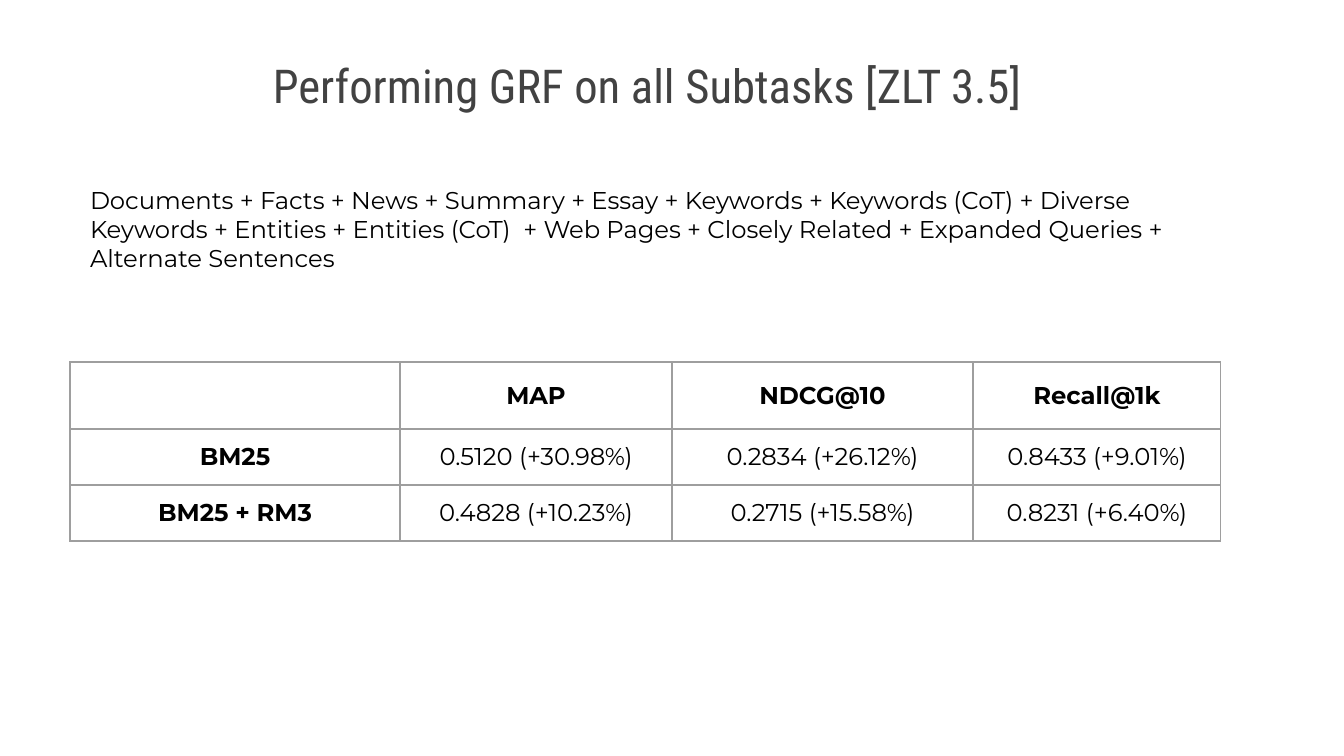
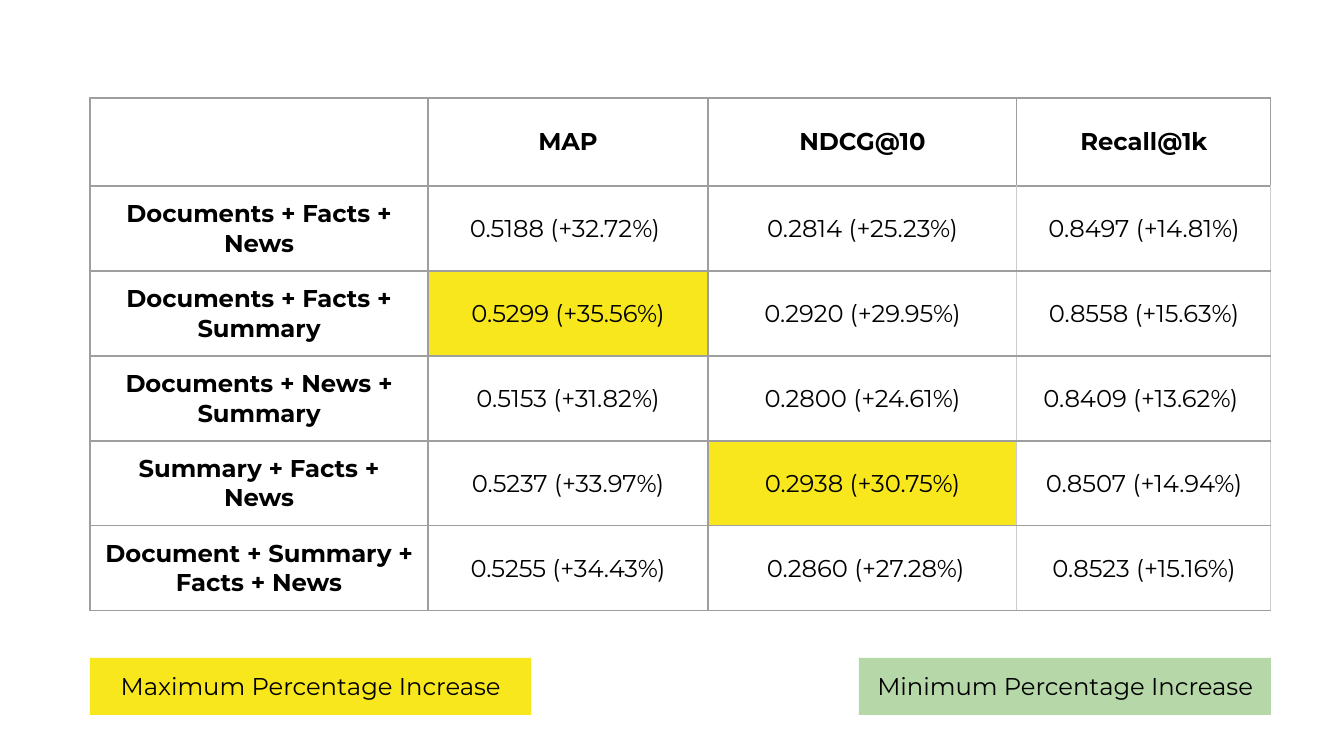
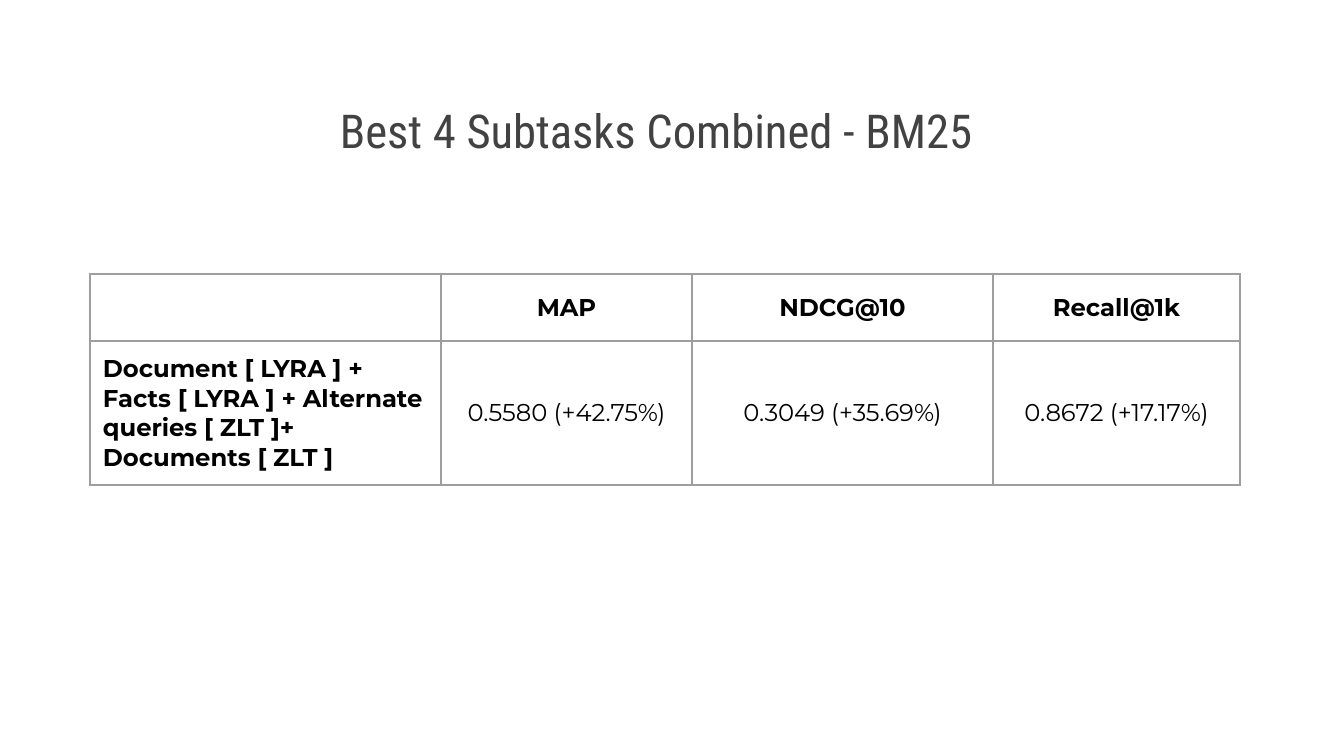
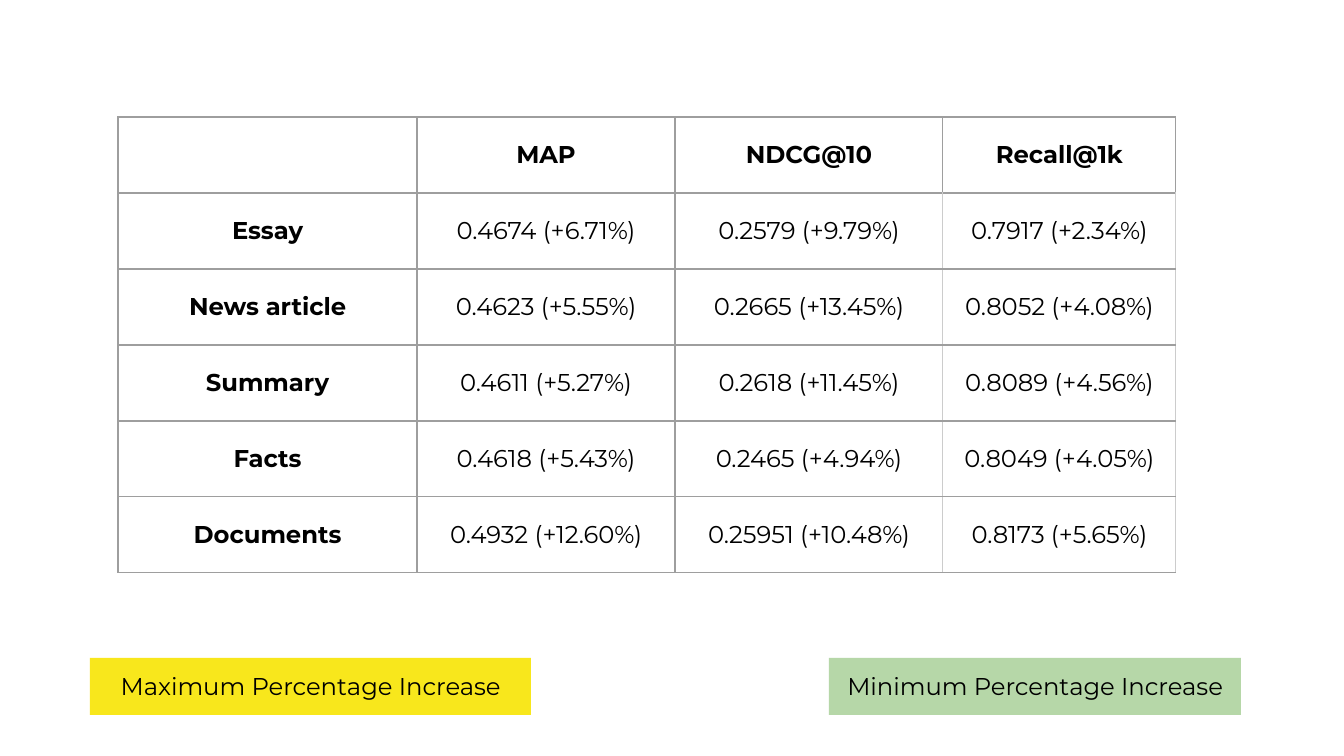
from dataclasses import dataclass

from lxml import etree
from pptx import Presentation
from pptx import util as u
from pptx.dml.color import RGBColor
from pptx.enum import shapes, text
from pptx.oxml.ns import qn


@dataclass(frozen=True)
class Theme:
    body_font: str = "Montserrat"
    title_font: str = "Roboto Condensed"
    body_size: int = 13
    title_size: int = 25
    ink: str = "000000"
    title_ink: str = "424242"
    paper: str = "FFFFFF"
    grid: str = "9E9E9E"
    faint_grid: str = "CCCCCC"
    maximum: str = "F8E71C"
    minimum: str = "B6D7A8"
    grid_width: float = 0.75


T = Theme()
PX = 914400 / 134.4
INSET = 13
TITLE_SIZE = (1132, 83)
LEGEND_TOP, LEGEND_HEIGHT = 658, 57
MAX_LEFT, MAX_WIDTH, MIN_WIDTH = 90, 441, 412
METRICS = ("", "MAP", "NDCG@10", "Recall@1k")

SLIDES = [
    dict(
        title=("Performing GRF on all Subtasks [ZLT 3.5]", 81, 44),
        subtasks=(
            "Documents + Facts + News + Summary + Essay + Keywords + Keywords (CoT) + Diverse "
            "Keywords + Entities + Entities (CoT)  + Web Pages + Closely Related + "
            "Expanded Queries + Alternate Sentences",
            77, 172, 1160, 115),
        table=dict(
            at=(70, 362), cols=(330, 272, 301, 248), header=67, row=56,
            rows=[
                ("BM25", "0.5120 (+30.98%)", "0.2834 (+26.12%)", "0.8433 (+9.01%)"),
                ("BM25 + RM3", "0.4828 (+10.23%)", "0.2715 (+15.58%)", "0.8231 (+6.40%)"),
            ]),
    ),
    dict(
        table=dict(
            at=(90, 98), cols=(338, 280, 309, 254), header=88, row=85, faint=True,
            best={(2, 1), (4, 2)},
            rows=[
                ("Documents + Facts + News", "0.5188 (+32.72%) ", "0.2814 (+25.23%)", "0.8497 (+14.81%)"),
                ("Documents + Facts + Summary", "0.5299 (+35.56%)", "0.2920 (+29.95%)", "0.8558 (+15.63%)"),
                ("Documents + News + Summary", "0.5153 (+31.82%)", "0.2800 (+24.61%)", "0.8409 (+13.62%) "),
                ("Summary + Facts + News", "0.5237 (+33.97%)", "0.2938 (+30.75%)", "0.8507 (+14.94%)"),
                ("Document + Summary + Facts + News", "0.5255 (+34.43%)", " 0.2860 (+27.28%)", "0.8523 (+15.16%)"),
            ]),
        legend_right=1271,
    ),
    dict(
        title=("Best 4 Subtasks Combined - BM25", 90, 89),
        table=dict(
            at=(90, 274), cols=(351, 251, 301, 247), header=67, row=144, left_labels=True,
            rows=[
                ("Document [ LYRA ] + Facts [ LYRA ] + Alternate queries [ ZLT ]+ Documents [ ZLT ]",
                 "0.5580 (+42.75%)", "0.3049 (+35.69%)", "0.8672 (+17.17%)"),
            ]),
    ),
    dict(
        table=dict(
            at=(118, 117), cols=(299, 258, 268, 233), header=76, row=76, faint=True,
            rows=[
                ("Essay", "0.4674 (+6.71%)", "0.2579 (+9.79%)", "0.7917 (+2.34%)"),
                ("News article", "0.4623 (+5.55%)", "0.2665 (+13.45%)", "0.8052 (+4.08%)"),
                ("Summary", "0.4611 (+5.27%)", "0.2618 (+11.45%)", "0.8089 (+4.56%)"),
                ("Facts", "0.4618 (+5.43%)", "0.2465 (+4.94%)", "0.8049 (+4.05%)"),
                ("Documents", "0.4932 (+12.60%)", "0.25951 (+10.48%)", "0.8173 (+5.65%)"),
            ]),
        legend_right=1241,
    ),
]


def px(n):
    return u.Emu(round(n * PX))


def fill(obj, color):
    obj.fill.solid()
    obj.fill.fore_color.rgb = RGBColor.from_string(color)


def write(obj, words, font=T.body_font, size=T.body_size, color=T.ink, bold=False, center=True):
    p = obj.text_frame.paragraphs[0]
    p.alignment = text.PP_ALIGN.CENTER if center else text.PP_ALIGN.LEFT
    r = p.add_run()
    r.text = words
    r.font.name, r.font.size, r.font.bold = font, u.Pt(size), bold
    r.font.color.rgb = RGBColor.from_string(color)


def set_insets(obj):
    obj.margin_left = obj.margin_top = obj.margin_right = obj.margin_bottom = px(INSET)


def set_frame(sp):
    tf = sp.text_frame
    set_insets(tf)
    tf.word_wrap = True
    tf.auto_size = text.MSO_AUTO_SIZE.SHAPE_TO_FIT_TEXT
    tf.vertical_anchor = text.MSO_ANCHOR.TOP


def add_text(s, words, *box, **fmt):
    sp = s.shapes.add_textbox(*map(px, box))
    set_frame(sp)
    write(sp, words, **fmt)


def add_key(s, words, left, width, color):
    sp = s.shapes.add_shape(shapes.MSO_SHAPE.RECTANGLE,
                            *map(px, (left, LEGEND_TOP, width, LEGEND_HEIGHT)))
    sp.shadow.inherit = False
    sp.line.fill.background()
    fill(sp, color)
    set_frame(sp)
    write(sp, words)


def add_legend(s, right):
    add_key(s, "Maximum Percentage Increase", MAX_LEFT, MAX_WIDTH, T.maximum)
    add_key(s, "Minimum Percentage Increase", right - MIN_WIDTH, MIN_WIDTH, T.minimum)


def set_borders(cell, left, right):
    tc_pr = cell._tc.get_or_add_tcPr()
    sides = (("L", left), ("R", right), ("T", T.grid), ("B", T.grid))
    for i, (side, color) in enumerate(sides):
        ln = etree.Element(qn(f"a:ln{side}"), w=str(u.Pt(T.grid_width)))
        solid = etree.SubElement(ln, qn("a:solidFill"))
        etree.SubElement(solid, qn("a:srgbClr"), val=color)
        tc_pr.insert(i, ln)


def add_results(s, at, cols, header, row, rows, faint=False, best=(), left_labels=False):
    grid = [METRICS, *rows]
    heights = [header] + [row] * len(rows)
    box = (*at, sum(cols), sum(heights))
    table = s.shapes.add_table(len(grid), len(cols), *map(px, box)).table
    table.first_row = table.horz_banding = False
    for column, width in zip(table.columns, cols):
        column.width = px(width)
    for line, height in zip(table.rows, heights):
        line.height = px(height)
    for i, values in enumerate(grid):
        for j, value in enumerate(values):
            cell = table.cell(i, j)
            label = left_labels and i > 0 and j == 0
            set_insets(cell)
            cell.vertical_anchor = text.MSO_ANCHOR.TOP if label else text.MSO_ANCHOR.MIDDLE
            fill(cell, T.maximum if (i, j) in best else T.paper)
            light = faint and i > 0
            set_borders(cell,
                        T.faint_grid if light and j == 3 else T.grid,
                        T.faint_grid if light and j >= 2 else T.grid)
            write(cell, value, bold=i == 0 or j == 0, center=not label)


def main():
    prs = Presentation()
    prs.slide_width, prs.slide_height = px(1344), px(756)
    for content in SLIDES:
        s = prs.slides.add_slide(prs.slide_layouts[6])
        add_results(s, **content["table"])
        if "title" in content:
            add_text(s, *content["title"], *TITLE_SIZE,
                     font=T.title_font, size=T.title_size, color=T.title_ink)
        if "subtasks" in content:
            add_text(s, *content["subtasks"], center=False)
        if "legend_right" in content:
            add_legend(s, content["legend_right"])
    prs.save("out.pptx")


if __name__ == "__main__":
    main()
